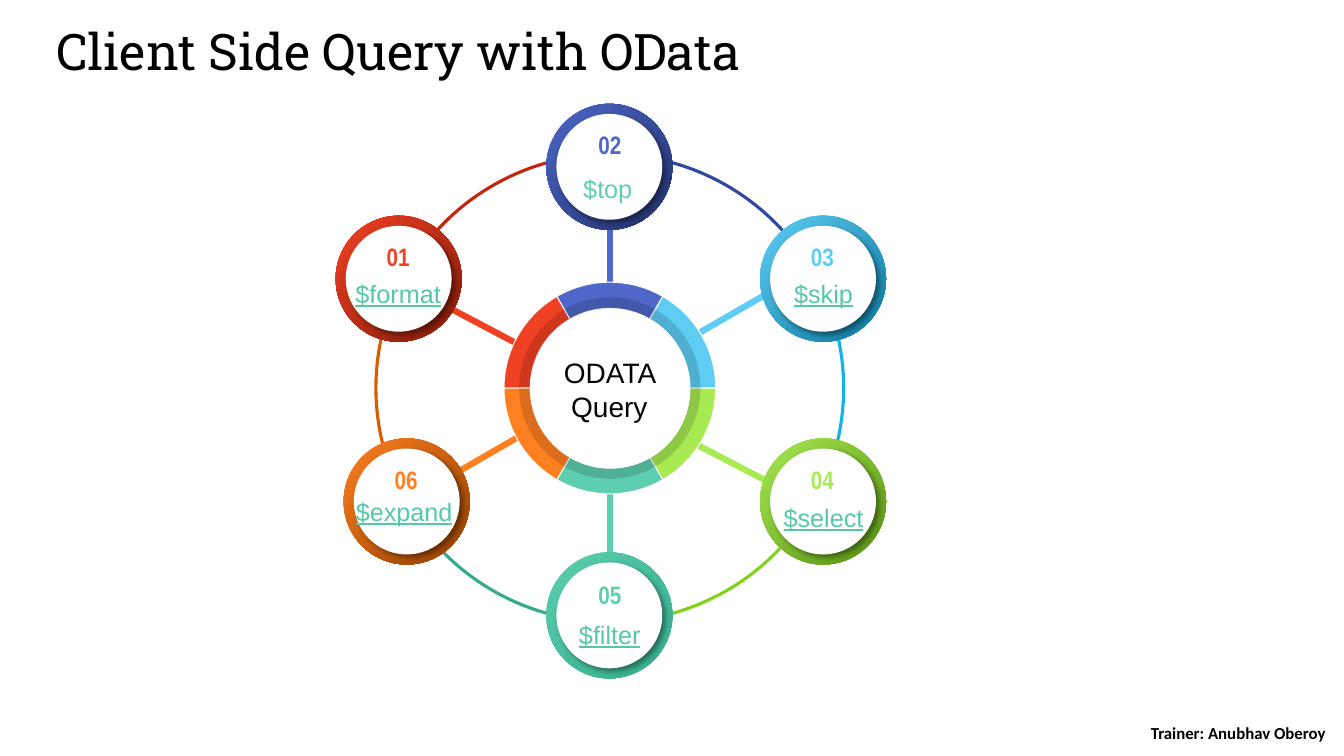
from dataclasses import dataclass
from math import cos, radians, sin, tan

from lxml import etree
from pptx import Presentation
from pptx import util as u
from pptx.dml.color import RGBColor
from pptx.enum import shapes, text
from pptx.oxml import ns

PX = 9144  # EMU per px, 100 px to the inch
HUB = (605, 385)
RING_OUTER, RING_INNER = 105, 79
RING_TURN = 30
ORBIT_RADIUS = 232
NODE_SIZE, NODE_RIM = 125, 10
CENTER, LEFT = text.PP_ALIGN.CENTER, text.PP_ALIGN.LEFT
TOP, MIDDLE, BOTTOM = text.MSO_ANCHOR.TOP, text.MSO_ANCHOR.MIDDLE, text.MSO_ANCHOR.BOTTOM


@dataclass(frozen=True)
class Style:
    font: str
    size: int
    color: str
    bold: bool = False
    underline: bool = False


@dataclass(frozen=True)
class Theme:
    white: str = "FFFFFF"
    black: str = "000000"
    title: Style = Style("Roboto Slab", 36, "000000")
    footer: Style = Style("Calibri", 12, "000000", bold=True)
    hub: Style = Style("Arial", 20, "000000")
    plain_option: Style = Style("Arial", 18, "5DCEAF")
    linked_option: Style = Style("Arial", 18, "56C7AA", underline=True)
    number_font: str = "Arial Narrow"
    number_size: int = 18
    spoke_width: float = 4.5
    orbit_width: float = 2.25


THEME = Theme()


@dataclass(frozen=True)
class Node:
    option: str
    corner: tuple[int, int]
    option_box: tuple[int, int, int, int]
    number_corner: tuple[int, int]
    spoke: tuple[int, int, int, int]
    arc: tuple[int, int]
    color: str
    shade: str
    arc_color: str
    style: Style = THEME.linked_option


# Clockwise from the upper left; each arc leads on to the next node.
NODES = [
    Node("$format", (333, 214), (343, 276, 104, 30), (355, 229),
         (443, 304, 513, 341), (222, 255), "F14124", "821A08", "C3260C"),
    Node("$top", (542, 103), (551, 172, 104, 30), (565, 118),
         (605, 217, 605, 289), (284, 320), "4E67C8", "21306A", "31489F", THEME.plain_option),
    Node("$skip", (754, 214), (765, 276, 104, 30), (776, 229),
         (760, 292, 689, 333), (345, 15), "5ECCF3", "0C779D", "12B2EB"),
    Node("$select", (754, 435), (765, 498, 104, 30), (776, 451),
         (689, 440, 760, 477), (40, 75), "A7EA52", "568D11", "81D31A"),
    Node("$filter", (542, 548), (553, 614, 104, 30), (565, 565),
         (605, 478, 605, 550), (105, 136), "5DCEAF", "34AC8B", "34AC8B"),
    Node("$expand", (341, 435), (351, 492, 100, 30), (363, 451),
         (522, 429, 451, 470), (165, 195), "FF8021", "903E00", "D85C00"),
]


def rgb(color: str) -> RGBColor:
    return RGBColor.from_string(color)


def add_text(slide, words: str, box: tuple[int, int, int, int], style: Style,
             anchor=MIDDLE, align=CENTER, inset: bool = False, grow: bool = True) -> None:
    shape = slide.shapes.add_textbox(*(value * PX for value in box))
    frame = shape.text_frame
    frame.word_wrap = True
    frame.vertical_anchor = anchor
    if grow:
        frame.auto_size = text.MSO_AUTO_SIZE.SHAPE_TO_FIT_TEXT
    if not inset:
        frame.margin_left = frame.margin_right = frame.margin_top = frame.margin_bottom = 0
    paragraph = frame.paragraphs[0]
    paragraph.alignment = align
    run = paragraph.add_run()
    run.text = words
    run.font.name = style.font
    run.font.size = u.Pt(style.size)
    run.font.bold = style.bold
    run.font.underline = style.underline
    run.font.color.rgb = rgb(style.color)


def add_circle(slide, left: int, top: int, size: int, color: str):
    shape = slide.shapes.add_shape(shapes.MSO_SHAPE.OVAL, left * PX, top * PX,
                                   size * PX, size * PX)
    shape.shadow.inherit = False
    shape.line.fill.background()
    shape.fill.solid()
    shape.fill.fore_color.rgb = rgb(color)
    return shape


def set_alpha(parent, percent: int) -> None:
    etree.SubElement(parent, ns.qn("a:alpha"), val=str(percent * 1000))


def add_drop_shadow(shape) -> None:
    effects = shape.element.spPr.find(ns.qn("a:effectLst"))
    shadow = etree.SubElement(effects, ns.qn("a:outerShdw"), blurRad=str(u.Pt(4)),
                              dist=str(u.Pt(3)), dir=str(45 * 60000), rotWithShape="0")
    color = etree.SubElement(shadow, ns.qn("a:srgbClr"), val=THEME.black)
    set_alpha(color, 40)


def add_spoke(slide, node: Node) -> None:
    """Draw an upright spoke as a connector and a slanted one as an open outline."""
    left, top, right, bottom = (value * PX for value in node.spoke)
    if left == right:
        spoke = slide.shapes.add_connector(shapes.MSO_CONNECTOR.STRAIGHT,
                                           left, top, right, bottom)
        etree.SubElement(spoke.element.spPr, ns.qn("a:effectLst"))
    else:
        builder = slide.shapes.build_freeform(left, top)
        builder.add_line_segments([(right, bottom)], close=False)
        spoke = builder.convert_to_shape()
        spoke.shadow.inherit = False
        spoke.fill.background()
    spoke.line.color.rgb = rgb(node.color)
    spoke.line.width = u.Pt(THEME.spoke_width)


def arc_points(radius: int, start: int, end: int) -> list[tuple[float, float]]:
    """Return the four Bezier points of an arc around the hub."""
    reach = 4 / 3 * tan(radians(end - start) / 4)
    points = []
    for degrees, pull in ((start, 0), (start, reach), (end, -reach), (end, 0)):
        angle = radians(degrees)
        points.append(((HUB[0] + radius * (cos(angle) - pull * sin(angle))) * PX,
                       (HUB[1] + radius * (sin(angle) + pull * cos(angle))) * PX))
    return points


def bend_segments(shape, first: int) -> None:
    """Turn three straight segments, counted from first, into one curve."""
    segments = list(shape.element.iter(ns.qn("a:lnTo")))[first:first + 3]
    curve = etree.Element(ns.qn("a:cubicBezTo"))
    segments[0].addprevious(curve)
    for segment in segments:
        curve.append(segment[0])
        segment.getparent().remove(segment)


def add_ring_sector(slide, start: int, color: str) -> None:
    """Draw a sixth of the hub ring, then turn it about the hub."""
    points = (arc_points(RING_OUTER, start, start + 60)
              + arc_points(RING_INNER, start + 60, start))
    builder = slide.shapes.build_freeform(*points[0])
    builder.add_line_segments(points[1:], close=True)
    shape = builder.convert_to_shape()
    bend_segments(shape, 4)
    bend_segments(shape, 0)
    across = shape.left + shape.width / 2 - HUB[0] * PX
    down = shape.top + shape.height / 2 - HUB[1] * PX
    turn = radians(RING_TURN)
    shape.left += round(across * cos(turn) - down * sin(turn) - across)
    shape.top += round(across * sin(turn) + down * cos(turn) - down)
    shape.rotation = RING_TURN
    shape.shadow.inherit = False
    shape.fill.solid()
    shape.fill.fore_color.rgb = rgb(color)
    shape.line.color.rgb = rgb(THEME.white)
    shape.line.width = 0


def add_orbit_arc(slide, node: Node) -> None:
    shape = slide.shapes.add_shape(
        shapes.MSO_SHAPE.ARC, (HUB[0] - ORBIT_RADIUS) * PX, (HUB[1] - ORBIT_RADIUS) * PX,
        2 * ORBIT_RADIUS * PX, 2 * ORBIT_RADIUS * PX)
    for index, degrees in enumerate(node.arc):
        shape.adjustments[index] = degrees * 0.6  # 60000 per degree over 100000
    shape.shadow.inherit = False
    shape.fill.background()
    shape.line.color.rgb = rgb(node.arc_color)
    shape.line.width = u.Pt(THEME.orbit_width)


def add_node(slide, number: int, node: Node) -> None:
    left, top = node.corner
    rim = add_circle(slide, left, top, NODE_SIZE, node.color)
    rim.fill.gradient()
    rim.fill.gradient_angle = 315
    for stop, color in zip(rim.fill.gradient_stops, (node.color, node.shade)):
        stop.color.rgb = rgb(color)
    face = add_circle(slide, left + NODE_RIM, top + NODE_RIM,
                      NODE_SIZE - 2 * NODE_RIM, THEME.white)
    add_drop_shadow(face)
    add_text(slide, node.option, node.option_box, node.style)
    number_style = Style(THEME.number_font, THEME.number_size, node.color, bold=True)
    add_text(slide, f"{number:02}", (*node.number_corner, 80, 40), number_style, BOTTOM)


def main() -> None:
    presentation = Presentation()
    presentation.slide_width, presentation.slide_height = u.Emu(12192000), 750 * PX
    slide = presentation.slides.add_slide(presentation.slide_layouts[6])
    add_text(slide, "Client Side Query with OData", (46, 15, 957, 71), THEME.title,
             TOP, LEFT, inset=True)
    add_text(slide, "Trainer: Anubhav Oberoy", (1107, 716, 243, 22), THEME.footer,
             inset=True, grow=False)
    for node in NODES:
        add_spoke(slide, node)
    for index, node in enumerate(NODES):
        add_ring_sector(slide, 150 + 60 * index, node.color)
    shade = add_circle(slide, HUB[0] - 90, HUB[1] - 90, 180, THEME.black)
    set_alpha(shade.element.spPr.find(".//" + ns.qn("a:srgbClr")), 14)
    add_circle(slide, HUB[0] - 79, HUB[1] - 79, 159, THEME.white)
    for node in NODES:
        add_orbit_arc(slide, node)
    add_text(slide, "ODATA Query", (530, 348, 149, 77), THEME.hub, inset=True)
    for number, node in enumerate(NODES, start=1):
        add_node(slide, number, node)
    presentation.save("out.pptx")


if __name__ == "__main__":
    main()
